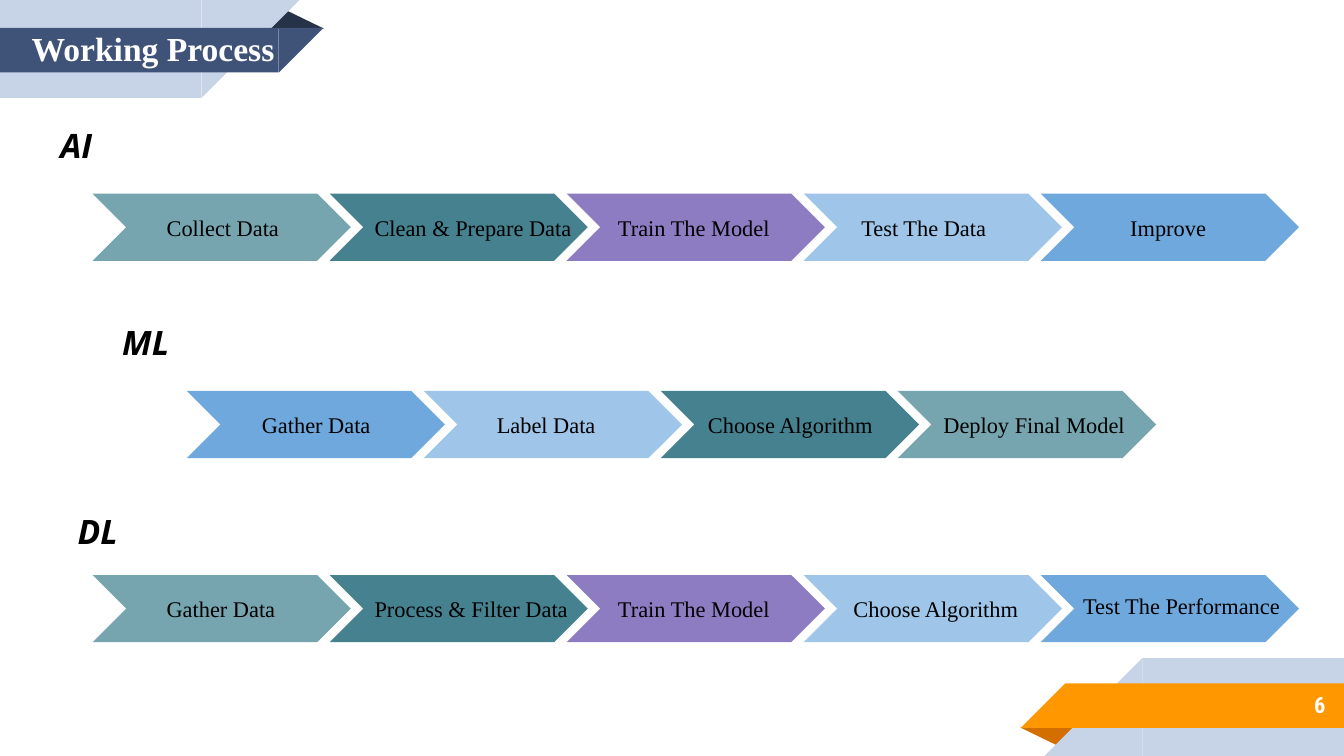
from dataclasses import dataclass

from pptx import Presentation
from pptx.dml.color import RGBColor
from pptx.enum.shapes import MSO_SHAPE as Shape
from pptx.enum.text import MSO_ANCHOR as Anchor, MSO_AUTO_SIZE as AutoSize, PP_ALIGN as Align
from pptx.util import Cm, Pt

SLIDE_W, SLIDE_H = 25.4, 14.29
CHEVRON_W, CHEVRON_H, PITCH = 4.88, 1.27, 4.48
TEAL, DARK_TEAL, PURPLE = "76A5AF", "45818E", "8E7CC3"
LIGHT_BLUE, BLUE, PALE = "9FC5E8", "6FA8DC", "C7D3E6"
SERIF, SANS, CONDENSED = "Times New Roman", "Open Sans", "Roboto Condensed"


@dataclass
class Band:
    """One part of a corner ribbon, placed for the top left corner."""
    kind: Shape
    left: float
    top: float
    width: float
    height: float
    role: str
    turn: int = 0


@dataclass
class Step:
    """A chevron with its label's place."""
    text: str
    color: str
    left: float
    width: float
    rise: float = 0


@dataclass
class Process:
    """A heading and its chain of steps."""
    name: str
    name_left: float
    name_top: float
    left: float
    top: float
    steps: list[Step]
    align: Align = Align.LEFT


RIBBON = [
    Band(Shape.ISOSCELES_TRIANGLE, 5.03, 0.18, 1.09, 0.36, "fold"),
    Band(Shape.RECTANGLE, 0, 0, 3.81, 1.85, "back"),
    Band(Shape.RIGHT_TRIANGLE, 3.81, 0, 1.85, 1.85, "back", 90),
    Band(Shape.RECTANGLE, 0, 0.53, 5.27, 0.84, "front"),
    Band(Shape.RIGHT_TRIANGLE, 5.27, 0.53, 0.84, 0.84, "front", 90),
]

PROCESSES = [
    Process("AI", 0.89, 2.11, 1.75, 3.66, [
        Step("Collect Data", TEAL, 2.9, 2.9),
        Step("Clean & Prepare Data", DARK_TEAL, 6.83, 4.29),
        Step("Train The Model", PURPLE, 11.43, 3.51),
        Step("Test The Data", LIGHT_BLUE, 16.03, 3.05),
        Step("Improve", BLUE, 21.11, 1.98),
    ]),
    Process("ML", 1.83, 5.84, 3.53, 7.39, [
        Step("Gather Data", BLUE, 4.7, 2.9),
        Step("Label Data", LIGHT_BLUE, 9.14, 2.9),
        Step("Choose Algorithm", DARK_TEAL, 13.13, 3.86),
        Step("Deploy Final Model", TEAL, 17.58, 4.65),
    ], Align.CENTER),
    Process("DL", 1.22, 9.4, 1.75, 10.87, [
        Step("Gather Data", TEAL, 2.9, 2.9),
        Step("Process & Filter Data", DARK_TEAL, 6.83, 4.29),
        Step("Train The Model", PURPLE, 11.43, 3.51),
        Step("Choose Algorithm", LIGHT_BLUE, 15.88, 3.86),
        Step("Test The Performance", BLUE, 20.22, 4.29, 0.05),
    ]),
]


def rgb(value: str) -> RGBColor:
    """Turn a hex string into a colour."""
    return RGBColor.from_string(value)


def add_block(shapes, kind: Shape, left: float, top: float, width: float,
              height: float, color: str):
    """Add a plain filled shape without outline."""
    sp = shapes.add_shape(kind, Cm(left), Cm(top), Cm(width), Cm(height))
    sp.shadow.inherit = False
    sp.fill.solid()
    sp.fill.fore_color.rgb = rgb(color)
    sp.line.fill.background()
    return sp


def add_text(shapes, text: str, left: float, top: float, width: float,
             height: float, font: str, size: int, color: str = "000000",
             bold: bool = False, italic: bool = False,
             align: Align = Align.LEFT, grow: bool = True):
    """Add a one-line text box."""
    tf = shapes.add_textbox(Cm(left), Cm(top), Cm(width), Cm(height)).text_frame
    tf.word_wrap = True
    tf.auto_size = AutoSize.SHAPE_TO_FIT_TEXT if grow else AutoSize.NONE
    tf.vertical_anchor = Anchor.TOP if grow else Anchor.MIDDLE
    tf.margin_left = tf.margin_right = tf.margin_top = tf.margin_bottom = Cm(0.25)
    p = tf.paragraphs[0]
    p.text = text
    p.alignment = align
    p.font.name, p.font.size = font, Pt(size)
    p.font.bold, p.font.italic = bold, italic
    p.font.color.rgb = rgb(color)


def add_ribbon(slide, colors: dict[str, str], half_turn: bool = False) -> None:
    """Draw the corner ribbon; a half turn moves it to the bottom right."""
    shapes = slide.shapes.add_group_shape().shapes
    for band in RIBBON:
        left, top, turn = band.left, band.top, band.turn
        if half_turn:
            left = SLIDE_W - left - band.width
            top = SLIDE_H - top - band.height
            turn += 180
        sp = add_block(shapes, band.kind, left, top, band.width, band.height,
                       colors[band.role])
        if band.kind == Shape.ISOSCELES_TRIANGLE:
            sp.adjustments[0] = 0.32
        if band.kind != Shape.RECTANGLE:
            sp.rotation = turn


def add_process(slide, process: Process) -> None:
    """Draw a heading with its chevrons and their labels."""
    add_text(slide.shapes, process.name, process.name_left, process.name_top,
             1.85, 1.27, SANS, 18, bold=True, italic=True, align=process.align)
    shapes = slide.shapes.add_group_shape().shapes
    for i, step in enumerate(process.steps):
        add_block(shapes, Shape.CHEVRON, process.left + i * PITCH, process.top,
                  CHEVRON_W, CHEVRON_H, step.color)
    for step in process.steps:
        add_text(shapes, step.text, step.left, process.top + 0.13 - step.rise,
                 step.width, 1.02, SERIF, 12)


def main() -> None:
    """Build and save the slide."""
    prs = Presentation()
    prs.slide_width, prs.slide_height = Cm(SLIDE_W), Cm(SLIDE_H)
    slide = prs.slides.add_slide(prs.slide_layouts[6])
    add_ribbon(slide, {"fold": "263248", "back": PALE, "front": "3F5378"})
    add_ribbon(slide, {"fold": "D26F00", "back": PALE, "front": "FF9800"}, half_turn=True)
    add_text(slide.shapes, "6", 21.16, 12.88, 4.14, 0.89, CONDENSED, 12,
             "FFFFFF", bold=True, align=Align.RIGHT, grow=False)
    add_text(slide.shapes, "Working Process", 0, 0.28, 5.79, 1.27, SERIF, 18,
             "FFFFFF", bold=True, align=Align.CENTER)
    for process in PROCESSES:
        add_process(slide, process)
    prs.save("out.pptx")


main()
